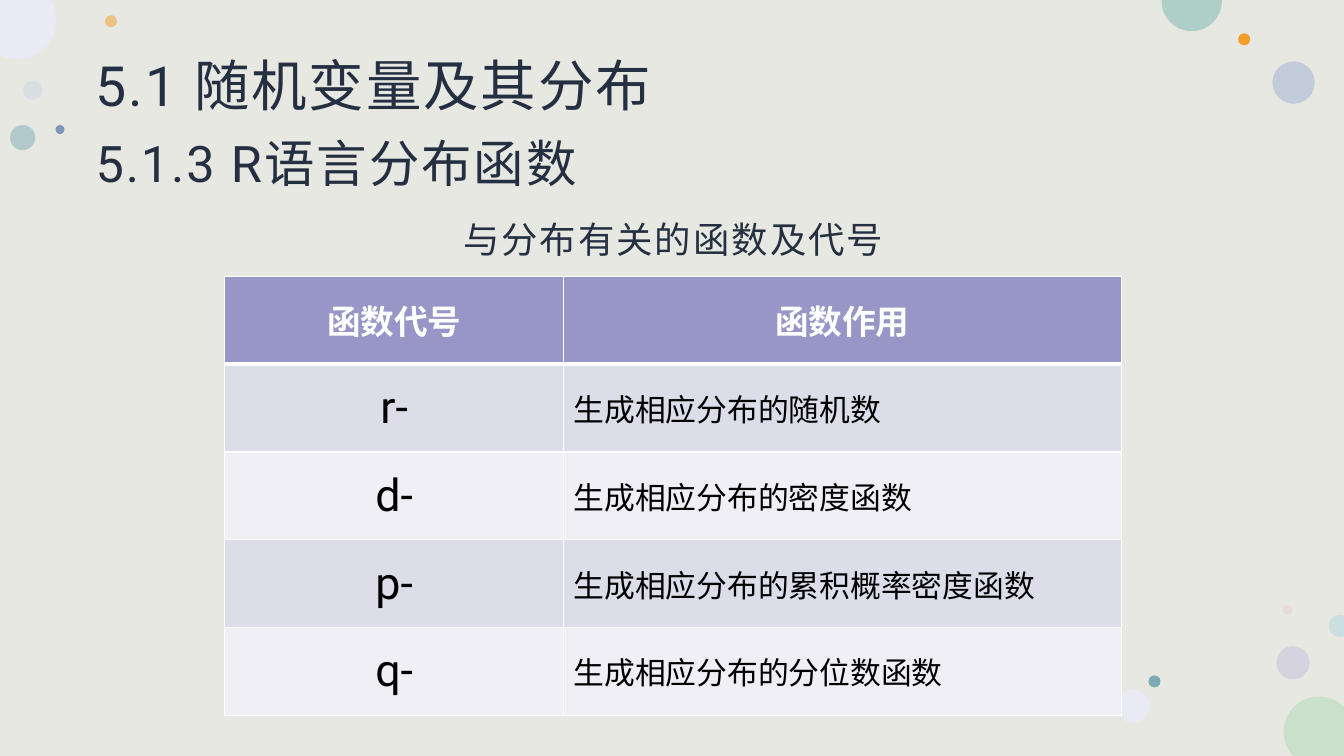
import math

from pptx import Presentation
from pptx import util as u
from pptx.dml.color import RGBColor
from pptx.enum import shapes, text
from pptx.oxml.ns import qn
from lxml import etree

SLIDE_W, SLIDE_H = 13.33, 7.5
CENTER = text.PP_ALIGN.CENTER
LEFT = text.PP_ALIGN.LEFT
MIDDLE = text.MSO_ANCHOR.MIDDLE
TOP = text.MSO_ANCHOR.TOP


def rgb(color):
    return RGBColor.from_string(color)


class SlideBuilder:
    font = "Roboto"
    ink = "243041"
    spacing = 1.4
    arc_steps = 16

    def __init__(self, slide):
        self.slide = slide

    def paint(self, sp, color, alpha=100):
        sp.shadow.inherit = False
        sp.fill.solid()
        sp.fill.fore_color.rgb = rgb(color)
        sp.line.fill.background()
        if alpha < 100:
            clr = sp._element.spPr.find(qn("a:solidFill"))[0]
            etree.SubElement(clr, qn("a:alpha"), val=str(alpha * 1000))

    def preset(self, kind, x, y, w, h, color, alpha=100):
        sp = self.slide.shapes.add_shape(
            kind, u.Inches(x), u.Inches(y), u.Inches(w), u.Inches(h))
        self.paint(sp, color, alpha)

    def dot(self, x, y, d, color, alpha=100):
        self.preset(shapes.MSO_SHAPE.OVAL, x, y, d, d, color, alpha)

    def cut_circle(self, cx, cy, radius, start, end, color, corner=None):
        """Arc between two angles, closed along the slide edge."""
        points = []
        for i in range(self.arc_steps + 1):
            a = math.radians(start + (end - start) * i / self.arc_steps)
            x = cx + radius * math.cos(a)
            y = cy + radius * math.sin(a)
            points.append((min(max(x, 0), SLIDE_W), min(max(y, 0), SLIDE_H)))
        if corner:
            points.append(corner)
        points = [(u.Inches(x), u.Inches(y)) for x, y in points]
        fb = self.slide.shapes.build_freeform(*points[0])
        fb.add_line_segments(points[1:], close=True)
        self.paint(fb.convert_to_shape(), color)

    def format_run(self, r, size, color, bold=False):
        r.font.name = self.font
        r.font.size = u.Pt(size)
        r.font.bold = bold
        r.font.color.rgb = rgb(color)

    def text_box(self, x, y, w, h, words, sizes, align=LEFT, anchor=TOP):
        sp = self.slide.shapes.add_textbox(
            u.Inches(x), u.Inches(y), u.Inches(w), u.Inches(h))
        tf = sp.text_frame
        tf.word_wrap = True
        tf.vertical_anchor = anchor
        p = tf.paragraphs[0]
        p.text = words
        p.alignment = align
        p.line_spacing = 1.25
        for r, size in zip(p.runs, sizes):
            self.format_run(r, size, self.ink)
            rPr = r._r.get_or_add_rPr()
            rPr.set("spc", str(round(self.spacing * 100)))
            ea = etree.Element(qn("a:ea"), typeface=self.font)
            rPr.find(qn("a:latin")).addnext(ea)

    def border(self, cell, widths):
        tcPr = cell._tc.get_or_add_tcPr()
        for i, (side, width) in enumerate(widths.items()):
            ln = etree.Element(qn("a:" + side), w=str(u.Pt(width)))
            fill = etree.SubElement(ln, qn("a:solidFill"))
            etree.SubElement(fill, qn("a:srgbClr"), val="FFFFFF")
            tcPr.insert(i, ln)

    def table(self, x, y, col_widths, height, rows):
        frame = self.slide.shapes.add_table(
            len(rows), len(col_widths), u.Inches(x), u.Inches(y),
            u.Inches(sum(col_widths)), u.Inches(height))
        tbl = frame.table
        for col, width in zip(tbl.columns, col_widths):
            col.width = u.Inches(width)
        for i, row in enumerate(rows):
            header = i == 0
            fill = "9796C6" if header else ("EFEFF5", "DDDDEA")[i % 2]
            for j, words in enumerate(row):
                cell = tbl.cell(i, j)
                cell.fill.solid()
                cell.fill.fore_color.rgb = rgb(fill)
                cell.vertical_anchor = MIDDLE
                p = cell.text_frame.paragraphs[0]
                p.text = words
                p.alignment = CENTER if header or j == 0 else LEFT
                size = 24 if header else (32, 22)[j]
                color = "FFFFFF" if header else "000000"
                self.format_run(p.runs[0], size, color, bold=header)
                self.border(cell, {"lnL": 1, "lnR": 1,
                                   "lnT": 3 if i == 1 else 1,
                                   "lnB": 3 if header else 1})


def main():
    prs = Presentation()
    prs.slide_width = u.Inches(SLIDE_W)
    prs.slide_height = u.Inches(SLIDE_H)
    s = SlideBuilder(prs.slides.add_slide(prs.slide_layouts[6]))

    # Background
    s.preset(shapes.MSO_SHAPE.RECTANGLE, 0, 0, SLIDE_W, SLIDE_H, "E8E8E2")

    # Scattered dots: left, top, diameter, colour, opacity
    for dot in [
        (0.23, 0.8, 0.19, "CCD5E3", 50),
        (1.04, 0.15, 0.12, "F39E29", 50),
        (12.66, 6.41, 0.33, "C1C0DD", 50),
        (0.1, 1.24, 0.25, "7DACB7", 50),
        (12.62, 0.61, 0.42, "B2C0D6", 72),
        (12.28, 0.33, 0.12, "F39E29"),
        (12.72, 6, 0.1, "E3BEBE", 28),
        (11.39, 6.7, 0.12, "7DACB7"),
        (11.07, 6.84, 0.33, "EAEAF4"),
        (0.55, 1.24, 0.09, "7F96BA"),
    ]:
        s.dot(*dot)

    # Circles cut by the slide edge: centre, radius, angles, colour, corner
    for circle in [
        (13.08, 7.26, 0.35, 137, 316, "CBE0CA", (SLIDE_W, SLIDE_H)),
        (0.17, 0.2, 0.39, -31, 116, "EAEAF4", (0, 0)),
        (11.82, 0.01, 0.3, -2, 182, "AECFC8"),
        (13.29, 6.21, 0.11, 69, 291, "CBDEE2"),
    ]:
        s.cut_circle(*circle)

    # Title and table caption
    s.text_box(0.85, 0.4, 11.66, 1.45,
               "5.1 随机变量及其分布\v5.1.3 R语言分布函数", (39.6, 36),
               anchor=MIDDLE)
    s.text_box(0.85, 2, 11.66, 0.7, "与分布有关的函数及代号", (26,),
               align=CENTER)

    # Function table
    s.table(2.23, 2.74, (3.36, 5.53), 4.36, [
        ("函数代号", "函数作用"),
        ("r-", "生成相应分布的随机数"),
        ("d-", "生成相应分布的密度函数"),
        ("p-", "生成相应分布的累积概率密度函数"),
        ("q-", "生成相应分布的分位数函数"),
    ])

    prs.save("out.pptx")


if __name__ == "__main__":
    main()
